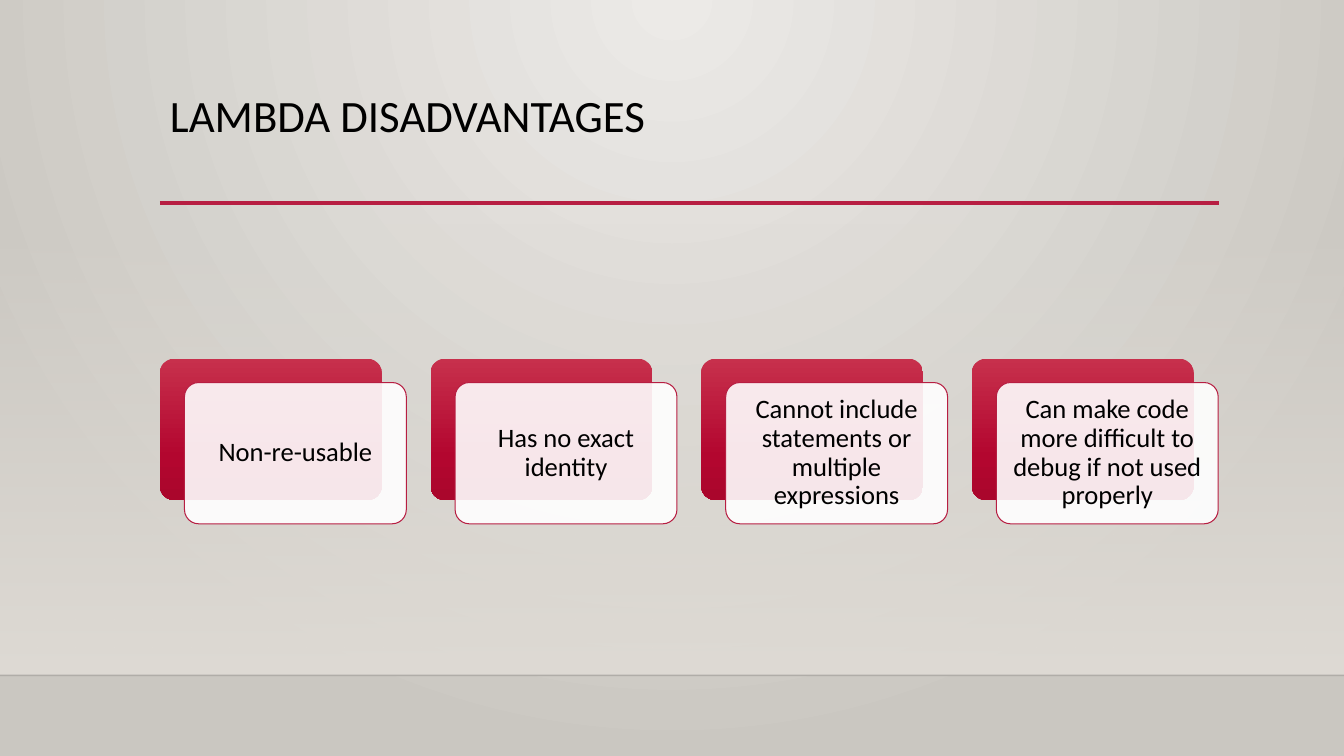
"""Build the slide that lists the disadvantages of lambda functions."""
from lxml import etree
from pptx import Presentation
from pptx.dml.color import RGBColor
from pptx.enum.shapes import MSO_CONNECTOR, MSO_SHAPE
from pptx.enum.text import MSO_ANCHOR, PP_ALIGN
from pptx.oxml.ns import qn
from pptx.util import Cm, Pt

TITLE = "LAMBDA DISADVANTAGES"
DISADVANTAGES = [
    "Non-re-usable",
    "Has no exact identity",
    "Cannot include statements or multiple expressions",
    "Can make code more difficult to debug if not used properly",
]

FONT = "Calibri"
BLACK = RGBColor(0x00, 0x00, 0x00)
WHITE = RGBColor(0xFF, 0xFF, 0xFF)
CRIMSON = RGBColor(0xB7, 0x1E, 0x42)

BACKDROP_STOPS = [(0, RGBColor(0xEC, 0xEA, 0xE7), 100),
                  (100, RGBColor(0xCA, 0xC7, 0xC1), 100)]
WALL_STOPS = [(0, RGBColor(0xDF, 0xDB, 0xD5), 0),
              (100, RGBColor(0xDF, 0xDB, 0xD5), 100)]
CARD_STOPS = [(0, RGBColor(0xC7, 0x30, 0x4C), 100),
              (69, RGBColor(0xB3, 0x06, 0x2F), 100),
              (100, RGBColor(0xAA, 0x06, 0x2C), 100)]

RECT = MSO_SHAPE.RECTANGLE
ROUNDED = MSO_SHAPE.ROUNDED_RECTANGLE
STRAIGHT = MSO_CONNECTOR.STRAIGHT
CENTER = PP_ALIGN.CENTER
LEFT = PP_ALIGN.LEFT
TOP = MSO_ANCHOR.TOP
MIDDLE = MSO_ANCHOR.MIDDLE

SLIDE_W, SLIDE_H = 33.87, 19.05
MARGIN, RULE_RIGHT, RULE_Y = 4.03, 30.73, 5.12
WALL_Y, FLOOR_Y = 5.61, 17.02
CARD_TOP, CARD_W, CARD_H, CARD_PITCH = 9.04, 5.59, 3.56, 6.82
SHIFT_X, SHIFT_Y = 0.62, 0.6


def add_alpha(color, percent):
    """Set the opacity of a colour element."""
    etree.SubElement(color, qn("a:alpha")).set("val", str(percent * 1000))


def set_gradient(holder, stops, circle=False):
    """Replace the empty fill in holder by a gradient."""
    grad = etree.Element(qn("a:gradFill"), rotWithShape="1")
    stop_list = etree.SubElement(grad, qn("a:gsLst"))
    for position, rgb, alpha in stops:
        gs = etree.SubElement(stop_list, qn("a:gs"), pos=str(position * 1000))
        color = etree.SubElement(gs, qn("a:srgbClr"), val=str(rgb))
        if alpha < 100:
            add_alpha(color, alpha)
    if circle:
        shade = etree.SubElement(grad, qn("a:path"))
        shade.set("path", "circle")
        etree.SubElement(shade, qn("a:fillToRect"),
                         l="43000", t="0", r="43000", b="100000")
    else:
        etree.SubElement(grad, qn("a:lin"), ang="5400000", scaled="0")
    holder.replace(holder.find(qn("a:noFill")), grad)


def add_shape(slide, kind, x, y, w, h):
    """Add a shape without shadow, fill or line."""
    sp = slide.shapes.add_shape(kind, Cm(x), Cm(y), Cm(w), Cm(h))
    sp.shadow.inherit = False
    sp.fill.background()
    sp.line.fill.background()
    if kind == ROUNDED:
        sp.adjustments[0] = 0.1
    return sp


def add_rule(slide, x1, x2, y, color, width):
    """Add a horizontal line without shadow."""
    rule = slide.shapes.add_connector(STRAIGHT, Cm(x1), Cm(y), Cm(x2), Cm(y))
    rule.line.color.rgb = color
    rule.line.width = Pt(width)
    etree.SubElement(rule._element.spPr, qn("a:effectLst"))
    return rule


def write(tf, text, size, align, anchor):
    """Write one formatted paragraph."""
    tf.text = text
    tf.word_wrap = True
    tf.vertical_anchor = anchor
    p = tf.paragraphs[0]
    p.alignment = align
    p.line_spacing = 0.9
    font = p.runs[0].font
    font.name = FONT
    font.size = Pt(size)
    font.color.rgb = BLACK


def add_card(slide, x, text):
    """Add a crimson card with a translucent text card in front."""
    back = add_shape(slide, ROUNDED, x, CARD_TOP, CARD_W, CARD_H)
    set_gradient(back._element.spPr, CARD_STOPS)
    front = add_shape(slide, ROUNDED, x + SHIFT_X, CARD_TOP + SHIFT_Y,
                      CARD_W, CARD_H)
    front.fill.solid()
    front.fill.fore_color.rgb = WHITE
    add_alpha(front._element.spPr.find(".//" + qn("a:srgbClr")), 90)
    front.line.color.rgb = CRIMSON
    front.line.width = Pt(0.75)
    tf = front.text_frame
    tf.margin_left = tf.margin_right = Cm(0.2)
    tf.margin_top = tf.margin_bottom = Cm(0.2)
    write(tf, text, 19, CENTER, MIDDLE)


def main():
    """Build and save the slide."""
    prs = Presentation()
    prs.slide_width, prs.slide_height = Cm(SLIDE_W), Cm(SLIDE_H)
    slide = prs.slides.add_slide(prs.slide_layouts[5])

    slide.background.fill.background()
    set_gradient(slide.element.find(".//" + qn("p:bgPr")), BACKDROP_STOPS,
                 circle=True)
    wall = add_shape(slide, RECT, 0, WALL_Y, SLIDE_W, FLOOR_Y - WALL_Y)
    set_gradient(wall._element.spPr, WALL_STOPS)
    floor = add_rule(slide, 0, SLIDE_W, FLOOR_Y, BLACK, 1)
    add_alpha(floor._element.spPr.find(".//" + qn("a:srgbClr")), 20)
    add_rule(slide, MARGIN, RULE_RIGHT, RULE_Y, CRIMSON, 2.5)

    title = slide.shapes.title
    title.left, title.top = Cm(MARGIN), Cm(2.24)
    title.width, title.height = Cm(26.67), Cm(2.92)
    write(title.text_frame, TITLE, 32, LEFT, TOP)

    for i, text in enumerate(DISADVANTAGES):
        add_card(slide, MARGIN + i * CARD_PITCH, text)
    prs.save("out.pptx")


if __name__ == "__main__":
    main()
